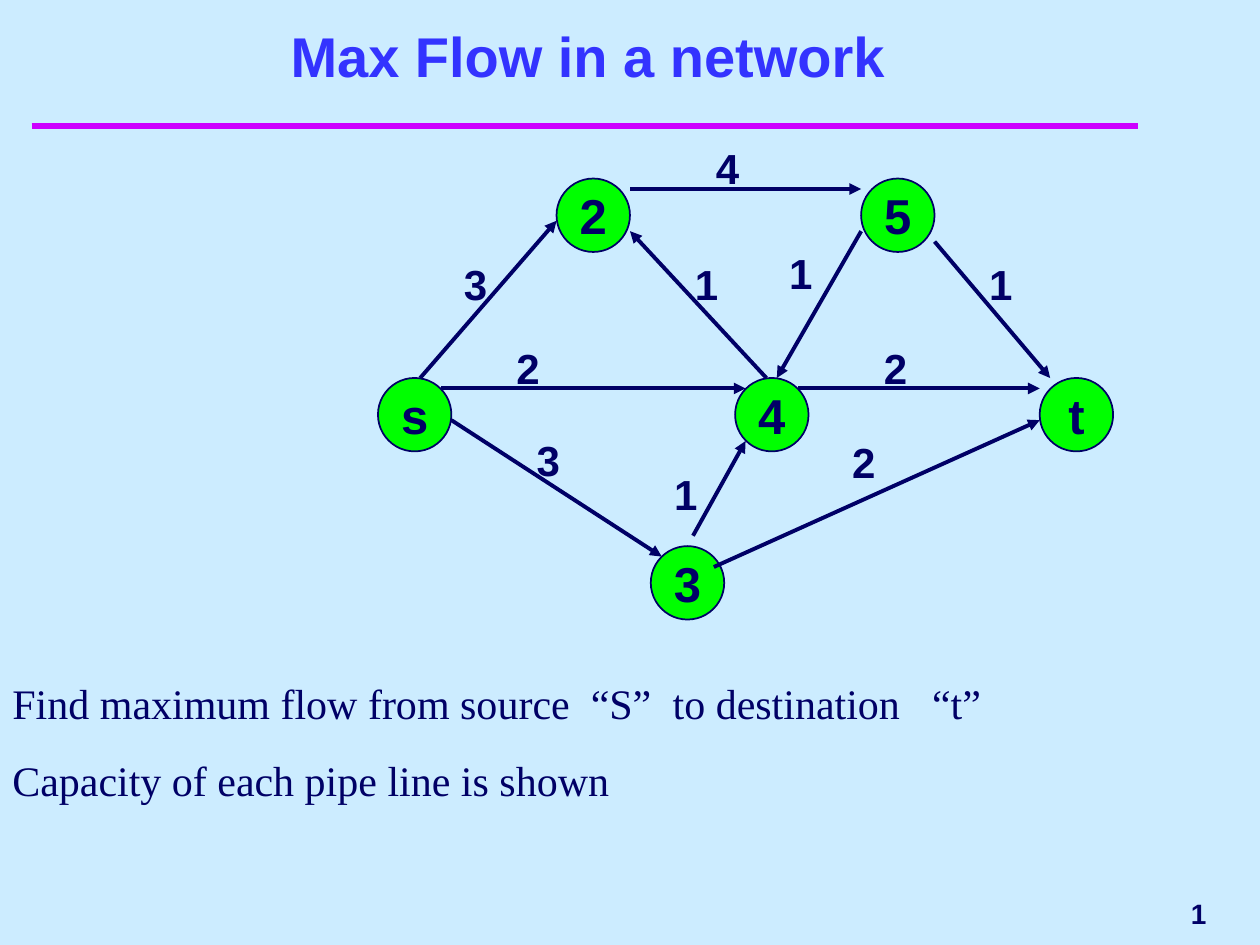
from pptx import Presentation
from pptx.util import Cm, Pt
from pptx.dml.color import RGBColor
from pptx.enum.shapes import MSO_SHAPE, MSO_CONNECTOR
from pptx.enum.text import PP_ALIGN, MSO_ANCHOR
from pptx.oxml.ns import qn
from lxml.etree import SubElement

HUES = {"back": "CCECFF", "title": "3333FF", "rule": "CC00FF", "ink": "000066", "node": "00FF00"}
TITLE = "Max Flow in a network"
NODES = [
    ("s", 7.62, 7.62), ("2", 11.22, 3.6), ("4", 14.82, 7.62),
    ("5", 17.36, 3.6), ("3", 13.12, 11.01), ("t", 20.96, 7.62),
]
PIPES = [
    ("3", (10.57, 8.64), (9.1, 8.47), (13.34, 11.22)),
    ("3", (9.1, 5.08), (8.47, 7.62), (11.22, 4.45)),
    ("2", (10.16, 6.77), (8.89, 7.83), (15.03, 7.83)),
    ("1", (13.76, 5.08), (15.45, 7.62), (12.7, 4.66)),
    ("4", (14.18, 2.75), (12.7, 3.81), (17.36, 3.81)),
    ("1", (15.66, 4.87), (17.36, 4.66), (15.66, 7.62)),
    ("2", (17.57, 6.77), (16.09, 7.83), (20.96, 7.83)),
    ("2", (16.93, 8.68), (14.39, 11.43), (20.96, 8.47)),
    ("1", (19.69, 5.08), (18.84, 4.87), (21.17, 7.62)),
    ("1", (13.34, 9.31), (13.97, 10.8), (15.03, 8.89)),
]
NOTES = ["Find maximum flow from source\t“S”\tto destination\t“t”", "Capacity of each pipe line is shown"]
STOPS = [11.66, 13.31, 18.54]
SIZE = 1.48


def tint(name):
    return RGBColor.from_string(HUES[name])


def style(para, size, hue="ink", face="Arial", bold=True, align=PP_ALIGN.LEFT):
    para.alignment = align
    para.font.size = Pt(size)
    para.font.name = face
    para.font.bold = bold
    para.font.color.rgb = tint(hue)


def add_box(x, y, w, h, text):
    frame = slide.shapes.add_textbox(Cm(x), Cm(y), Cm(w), Cm(h)).text_frame
    frame.word_wrap = True
    frame.text = text
    return frame


def add_line(start, end, hue, width, arrow=False):
    line = slide.shapes.add_connector(MSO_CONNECTOR.STRAIGHT, *map(Cm, start + end))
    line.line.color.rgb = tint(hue)
    line.line.width = Pt(width)
    if arrow:
        SubElement(line.line._get_or_add_ln(), qn("a:tailEnd"), type="triangle")
    SubElement(line._element.spPr, qn("a:effectLst"))


deck = Presentation()
deck.slide_width, deck.slide_height = Cm(25.4), Cm(19.05)
slide = deck.slides.add_slide(deck.slide_layouts[5])
slide.background.fill.solid()
slide.background.fill.fore_color.rgb = tint("back")

add_line((0.64, 2.54), (22.94, 2.54), "rule", 4)

title = slide.shapes.title
title.left, title.top, title.width, title.height = Cm(1.06), Cm(0.85), Cm(21.59), Cm(1.06)
title.text_frame.text = TITLE
title.text_frame.vertical_anchor = MSO_ANCHOR.BOTTOM
style(title.text_frame.paragraphs[0], 32, "title", align=PP_ALIGN.CENTER)

for load, spot, start, end in PIPES:
    para = add_box(*spot, 1.49, 1.27, load).paragraphs[0]
    para.space_before = Pt(15)
    style(para, 24)

for name, x, y in NODES:
    node = slide.shapes.add_shape(MSO_SHAPE.OVAL, Cm(x), Cm(y), Cm(SIZE), Cm(SIZE))
    node.shadow.inherit = False
    node.fill.solid()
    node.fill.fore_color.rgb = tint("node")
    node.line.color.rgb = tint("ink")
    node.line.width = Pt(1)
    frame = node.text_frame
    frame.text = name
    frame.word_wrap = False
    frame.vertical_anchor = MSO_ANCHOR.MIDDLE
    style(frame.paragraphs[0], 28, align=PP_ALIGN.CENTER)

for load, spot, start, end in PIPES:
    add_line(start, end, "ink", 2.25, True)

notes = add_box(0, 13.54, 23.7, 2.82, "\n".join(NOTES))
for para in notes.paragraphs:
    para.space_before = Pt(15)
    tabs = SubElement(para._p.get_or_add_pPr(), qn("a:tabLst"))
    for stop in STOPS:
        SubElement(tabs, qn("a:tab"), pos=str(Cm(stop)), algn="l")
    style(para, 24, face="Times New Roman", bold=False)

page = add_box(19.69, 17.78, 4.88, 1.27, "1")
page.vertical_anchor = MSO_ANCHOR.MIDDLE
style(page.paragraphs[0], 16, align=PP_ALIGN.RIGHT)

deck.save("out.pptx")
